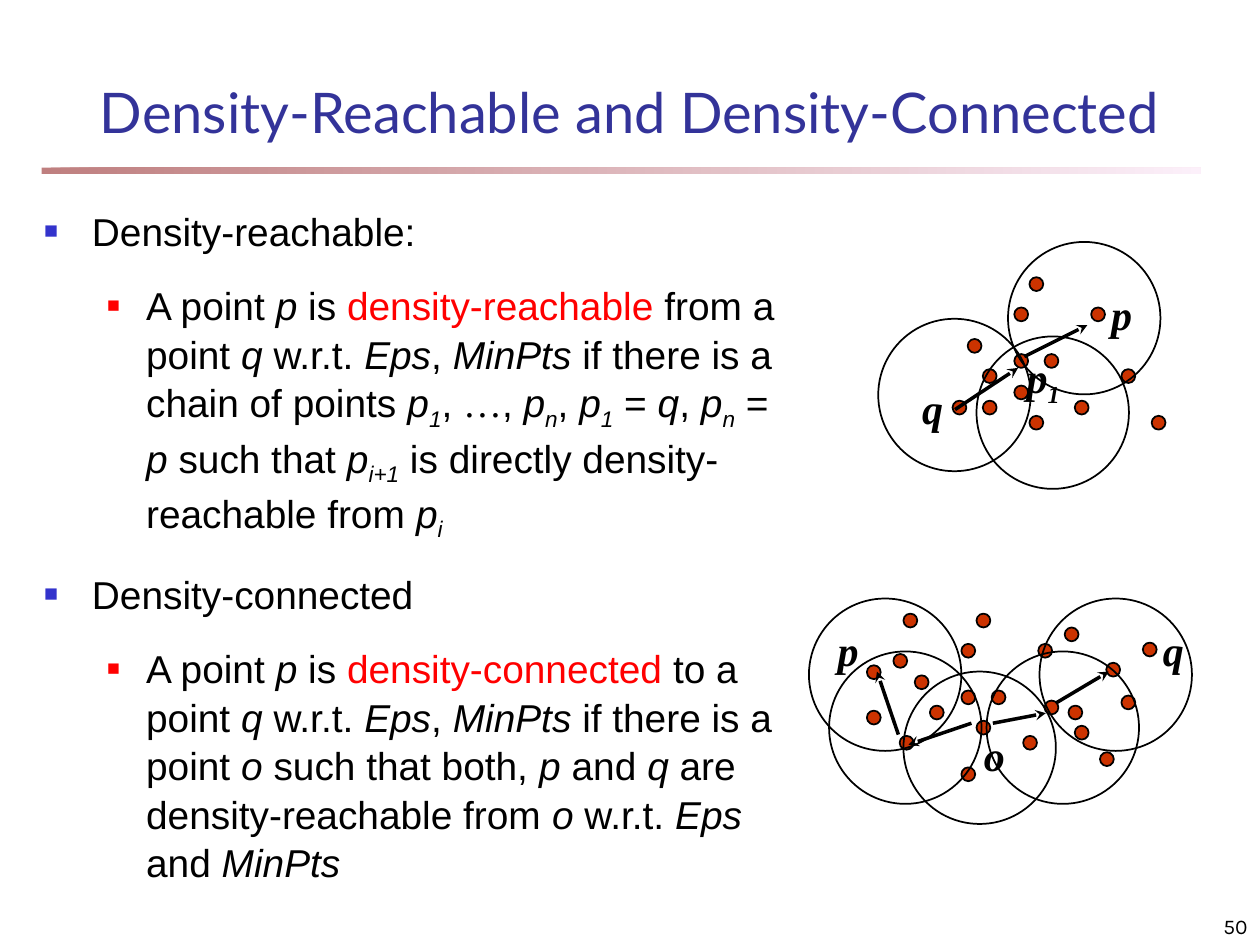
from dataclasses import dataclass

from pptx import Presentation
from pptx.dml.color import RGBColor as RGB
from pptx.enum.shapes import MSO_CONNECTOR as Connector, MSO_SHAPE as Shape
from pptx.enum.text import MSO_ANCHOR as Anchor, MSO_AUTO_SIZE as AutoSize, PP_ALIGN as Align
from pptx.oxml.ns import qn
from pptx.oxml.xmlchemy import OxmlElement
from pptx.util import Inches, Pt


@dataclass(frozen=True)
class Theme:
    title_color: str = "333399"
    ink: str = "000000"
    accent: str = "FF0000"
    dot: str = "CC3300"
    bar: tuple = ("800000", "FAE2F6")
    bullets: tuple = (("3333CC", 60), ("FF0000", 55))  # color, percent of text
    indents: tuple = ((0.38, 0.38), (0.81, 0.31))      # left margin, hanging
    title_font: str = "Lato"
    body_font: str = "Arial"
    label_font: str = "Times New Roman"
    number_font: str = "Karla"
    title_size: float = 32
    body_size: float = 22.2
    label_size: float = 24
    number_size: float = 12


THEME = Theme()
DOT_SIZE, CIRCLE_SIZE = 0.11, 1.21

# A span between bars may start with one of these marks
MARKS = {
    "/": {"italic": True},
    "_": {"italic": True, "subscript": True},
    "!": {"color": THEME.accent},
    "~": {"font": THEME.label_font},
}

BODY = [
    (0, "Density-reachable:"),
    (1, "A point |/p| is |!density-reachable| from a point |/q| w.r.t. |/Eps|, |/MinPts"
        "| if there is a chain of points |/p|_1|, |~…|, |/p|_n|, |/p|_1| = |/q|, |/p|_n| = |/p"
        "| such that |/p|_i+1| is directly density-reachable from |/p|_i"),
    (0, "Density-connected"),
    (1, "A point |/p| is |!density-connected| to a point |/q| w.r.t. |/Eps|, |/MinPts"
        "| if there is a point |/o |such that both, |/p| and |/q| are density-reachable"
        " from |/o| w.r.t. |/Eps| and |/MinPts"),
]

# Left and top corners of dots, circles and labels; arrows run start to tip
REACHABLE = {
    "dots": [(7.68, 2.69), (8.05, 2.81), (8.05, 2.44), (7.56, 3.18), (7.8, 2.93),
             (7.8, 3.18), (8.17, 3.3), (8.17, 2.2), (8.9, 2.93), (8.66, 2.44),
             (8.05, 3.06), (8.29, 2.81), (8.53, 3.18), (9.14, 3.3)],
    "circles": [(7.75, 2.67), (6.97, 2.53), (8, 1.92)],
    "labels": [("p", 8.72, 2.24, 0.42), ("q", 7.22, 2.99, 0.42), ("p|_1", 8.05, 2.74, 0.67)],
    "arrows": [(8.13, 2.83, 8.63, 2.58), (7.58, 3.25, 8.08, 2.92)],
}
CONNECTED = {
    "dots": [(7.26, 5.36), (7.63, 5.48), (7.63, 5.11), (7.14, 5.84), (7.38, 5.6),
             (7.63, 6.09), (7.75, 5.72), (7.75, 4.87), (8.48, 5.6), (8.24, 5.11),
             (6.88, 5.64), (7.87, 5.48), (8.12, 5.84), (8.73, 5.97), (8.9, 5.52),
             (8.29, 5.56), (8.53, 5.76), (9.07, 5.1), (8.45, 4.98), (8.78, 5.26),
             (7.09, 5.19), (6.88, 5.28), (7.17, 4.87)],
    "circles": [(6.58, 5.17), (7.17, 5.33), (7.83, 5.17), (8.25, 4.75), (6.42, 4.75)],
    "labels": [("p", 6.55, 4.91, 0.42), ("q", 9.13, 4.91, 0.42), ("o", 7.71, 5.74, 0.42)],
    "arrows": [(7.71, 5.74, 7.21, 5.91), (7.88, 5.74, 8.3, 5.66),
               (7.13, 5.83, 6.96, 5.33), (8.38, 5.58, 8.8, 5.33)],
}


def add_span(para, text, *, font, size, color=THEME.ink, bold=False, italic=False,
             subscript=False):
    span = para.add_run()
    span.text = text
    span.font.name, span.font.size = font, Pt(size)
    span.font.bold, span.font.italic = bold, italic
    span.font.color.rgb = RGB.from_string(color)
    if subscript:
        span.font._element.set("baseline", "-25000")


def add_marked(para, text, **style):
    for part in text.split("|"):
        mark = MARKS.get(part[0])
        add_span(para, part[1:] if mark else part, **{**style, **(mark or {})})


def add_child(parent, tag, **attributes):
    child = OxmlElement(tag)
    for name, value in attributes.items():
        child.set(name, str(value))
    parent.append(child)
    return child


def place(box, left, top, width, height):
    box.left, box.top = Inches(left), Inches(top)
    box.width, box.height = Inches(width), Inches(height)


class SlideBuilder:
    def __init__(self, deck, theme):
        self.theme = theme
        self.slide = deck.slides.add_slide(deck.slide_layouts[1])

    def frame(self, box, anchor):
        frame = box.text_frame
        frame.word_wrap, frame.auto_size = True, AutoSize.NONE
        frame.vertical_anchor = anchor
        return frame

    def bar(self, left, top, width, height):
        bar = self.slide.shapes.add_shape(
            Shape.RECTANGLE, *map(Inches, (left, top, width, height)))
        bar.shadow.inherit = False
        bar.line.fill.background()
        bar.fill.gradient()
        bar.fill.gradient_angle = 0
        for stop, color in zip(bar.fill.gradient_stops, self.theme.bar):
            stop.color.rgb = RGB.from_string(color)
        for color in bar._element.spPr.iter(qn("a:srgbClr")):
            add_child(color, "a:alpha", val=50000)

    def title(self, text, *at):
        box = self.slide.shapes.title
        place(box, *at)
        para = self.frame(box, Anchor.MIDDLE).paragraphs[0]
        para.alignment = Align.CENTER
        add_span(para, text, font=self.theme.title_font, size=self.theme.title_size,
                 color=self.theme.title_color)

    def body(self, items, *at):
        box = self.slide.placeholders[1]
        place(box, *at)
        frame = self.frame(box, Anchor.TOP)
        for index, (level, text) in enumerate(items):
            para = frame.add_paragraph() if index else frame.paragraphs[0]
            para.level, para.line_spacing = level, 1.04
            para.space_before, para.space_after = Pt(15), Pt(0)
            self.bullet(para, level)
            add_marked(para, text, font=self.theme.body_font, size=self.theme.body_size)

    def bullet(self, para, level):
        margin, hanging = self.theme.indents[level]
        color, percent = self.theme.bullets[level]
        properties = para._p.get_or_add_pPr()
        properties.set("marL", str(Inches(margin)))
        properties.set("indent", str(-Inches(hanging)))
        add_child(add_child(properties, "a:buClr"), "a:srgbClr", val=color)
        add_child(properties, "a:buSzPct", val=percent * 1000)
        add_child(properties, "a:buFont", typeface=self.theme.body_font)
        add_child(properties, "a:buChar", char="■")

    def ellipse(self, canvas, left, top, size, fill=None):
        ellipse = canvas.add_shape(Shape.OVAL, *map(Inches, (left, top, size, size)))
        ellipse.shadow.inherit = False
        ellipse.line.color.rgb, ellipse.line.width = RGB.from_string(self.theme.ink), Pt(1)
        if fill:
            ellipse.fill.solid()
            ellipse.fill.fore_color.rgb = RGB.from_string(fill)
        else:
            ellipse.fill.background()

    def arrow(self, canvas, *ends):
        arrow = canvas.add_connector(Connector.STRAIGHT, *map(Inches, ends))
        arrow.line.color.rgb, arrow.line.width = RGB.from_string(self.theme.ink), Pt(2)
        add_child(arrow.line._get_or_add_ln(), "a:tailEnd", type="stealth")
        add_child(arrow._element.spPr, "a:effectLst")

    def text(self, canvas, text, *at, anchor=Anchor.TOP, align=Align.LEFT, **style):
        box = canvas.add_textbox(*map(Inches, at))
        para = self.frame(box, anchor).paragraphs[0]
        para.alignment = align
        add_marked(para, text, **style)

    def diagram(self, canvas, dots, circles, labels, arrows):
        for left, top in dots:
            self.ellipse(canvas, left, top, DOT_SIZE, self.theme.dot)
        for left, top in circles:
            self.ellipse(canvas, left, top, CIRCLE_SIZE)
        for text, left, top, width in labels:
            self.text(canvas, text, left, top, width, 0.5, font=self.theme.label_font,
                      size=self.theme.label_size, bold=True, italic=True)
        for ends in arrows:
            self.arrow(canvas, *ends)


def main():
    deck = Presentation()
    deck.slide_width, deck.slide_height = Inches(10), Inches(7.5)
    page = SlideBuilder(deck, THEME)
    shapes = page.slide.shapes

    # Heading and text
    page.bar(0.33, 1.33, 9.2, 0.05)
    page.title("Density-Reachable and Density-Connected", 0, 0.42, 10, 0.92)
    page.body(BODY, 0.25, 1.58, 6.17, 5.5)

    # Diagrams
    page.diagram(shapes, **REACHABLE)
    page.diagram(shapes.add_group_shape().shapes, **CONNECTED)

    # Page number
    page.text(shapes, "50", 7.92, 7.08, 2.08, 0.42, anchor=Anchor.BOTTOM, align=Align.RIGHT,
              font=THEME.number_font, size=THEME.number_size)
    deck.save("out.pptx")


if __name__ == "__main__":
    main()
